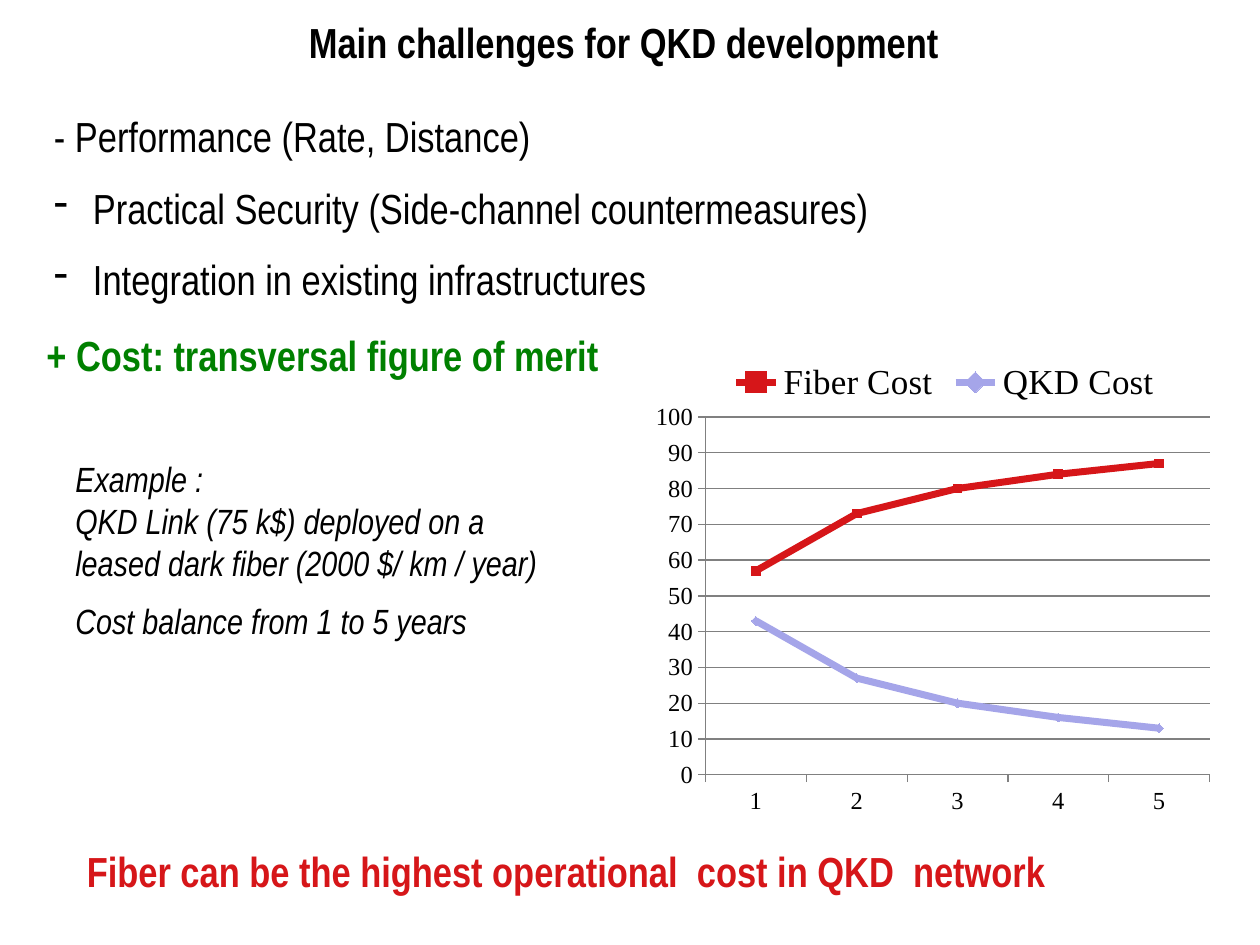
import pptx
import pptx.chart.data
import pptx.dml.color
import pptx.enum.chart
import pptx.enum.text
import pptx.util
from lxml import etree
from pptx.util import Inches, Pt

RGB = pptx.dml.color.RGBColor
BLACK = RGB(0x00, 0x00, 0x00)
GREEN = RGB(0x00, 0x80, 0x00)
RED = RGB(0xD6, 0x16, 0x19)
LILAC = RGB(0xA5, 0xA5, 0xE9)
GREY = RGB(0x80, 0x80, 0x80)
SANS = "Arial Narrow"
SERIF = "Times New Roman"


def style(font, size, color=BLACK, name=SANS, bold=False, italic=False):
    font.size, font.name = Pt(size), name
    font.bold, font.italic = bold, italic
    font.color.rgb = color


def write(shape, box, lines, wrap=True, after=0, align=None, **look):
    """Place a shape and fill it with one paragraph per line."""
    shape.left, shape.top, shape.width, shape.height = map(Inches, box)
    frame = shape.text_frame
    frame.word_wrap = wrap
    frame.auto_size = pptx.enum.text.MSO_AUTO_SIZE.NONE
    frame.vertical_anchor = pptx.enum.text.MSO_ANCHOR.TOP
    for i, line in enumerate(lines):
        par = frame.paragraphs[0] if i == 0 else frame.add_paragraph()
        par.alignment = align
        par.space_after = Pt(after)
        run = par.add_run()
        run.text = line
        style(run.font, **look)
    return frame.paragraphs


def add_text(slide, box, lines, **look):
    shape = slide.shapes.add_textbox(*map(Inches, box))
    return write(shape, box, lines, **look)


def add_dash(par, indent):
    """Give a paragraph a hanging dash bullet."""
    props = par._p.get_or_add_pPr()
    props.set("marL", str(Inches(indent)))
    props.set("indent", str(-Inches(indent)))
    mark = etree.SubElement(props, pptx.oxml.ns.qn("a:buChar"))
    mark.set("char", "-")


def set_plot(chart, x, y, w, h):
    """Fix the inner plot area as fractions of the chart."""
    qn = pptx.oxml.ns.qn
    area = chart._chartSpace.chart.plotArea
    for old in area.findall(qn("c:layout")):
        area.remove(old)
    layout = etree.Element(qn("c:layout"))
    manual = etree.SubElement(layout, qn("c:manualLayout"))
    parts = [("layoutTarget", "inner"), ("xMode", "edge"), ("yMode", "edge"),
             ("x", x), ("y", y), ("w", w), ("h", h)]
    for tag, val in parts:
        etree.SubElement(manual, qn("c:" + tag)).set("val", str(val))
    area.insert(0, layout)


def add_graph(slide, box):
    kind = pptx.enum.chart
    data = pptx.chart.data.CategoryChartData()
    data.categories = ["1", "2", "3", "4", "5"]
    data.add_series("Fiber Cost", (57, 73, 80, 84, 87))
    data.add_series("QKD Cost", (43, 27, 20, 16, 13))
    frame = slide.shapes.add_chart(
        kind.XL_CHART_TYPE.LINE_MARKERS, *map(Inches, box), data)
    chart = frame.chart
    chart.has_title = False
    style(chart.font, 10, name=SERIF)
    set_plot(chart, 0.12, 0.14, 0.8, 0.71)

    # Legend
    chart.has_legend = True
    chart.legend.position = kind.XL_LEGEND_POSITION.TOP
    chart.legend.include_in_layout = False
    style(chart.legend.font, 20, name=SERIF)

    # Axes
    for axis in (chart.category_axis, chart.value_axis):
        style(axis.tick_labels.font, 14, name=SERIF)
        axis.major_tick_mark = kind.XL_TICK_MARK.OUTSIDE
        axis.format.line.color.rgb = GREY
    axis = chart.value_axis
    axis.minimum_scale, axis.maximum_scale, axis.major_unit = 0, 100, 10
    axis.has_major_gridlines = True
    axis.major_gridlines.format.line.color.rgb = GREY

    # Series
    marks = kind.XL_MARKER_STYLE
    looks = [(RED, marks.SQUARE), (LILAC, marks.DIAMOND)]
    for series, (color, mark) in zip(chart.plots[0].series, looks):
        series.smooth = False
        series.format.line.color.rgb = color
        series.format.line.width = Pt(4)
        series.marker.style, series.marker.size = mark, 5
        series.marker.format.fill.solid()
        series.marker.format.fill.fore_color.rgb = color
        series.marker.format.line.fill.background()


def main():
    deck = pptx.Presentation()
    deck.slide_width, deck.slide_height = Inches(10), Inches(7.5)
    slide = deck.slides.add_slide(deck.slide_layouts[5])

    # Title
    write(slide.shapes.title, (2.25, 0.08, 5.4, 0.51),
          ["Main challenges for QKD development"], wrap=False, size=24,
          bold=True, align=pptx.enum.text.PP_ALIGN.CENTER)

    # Challenges
    pars = add_text(slide, (0.33, 0.83, 8.5, 1.63), [
        "- Performance (Rate, Distance)",
        "Practical Security (Side-channel countermeasures)",
        "Integration in existing infrastructures"], size=24, after=12)
    for par in pars[1:]:
        add_dash(par, 0.31)
    add_text(slide, (0.27, 2.57, 4.59, 0.5),
             ["+ Cost: transversal figure of merit"],
             wrap=False, size=24, color=GREEN, bold=True)

    # Example and its cost balance
    pars = add_text(slide, (0.5, 3.58, 4.08, 1.57), [
        "Example :",
        "QKD Link (75 k$) deployed on a leased dark fiber (2000 $/ km / year)",
        "Cost balance from 1 to 5 years"], size=20, italic=True)
    pars[-1].space_before = Pt(9)
    add_graph(slide, (5, 2.75, 5, 4))

    # Conclusion
    add_text(slide, (0.59, 6.66, 7.82, 0.5),
             ["Fiber can be the highest operational  cost in QKD  network"],
             wrap=False, size=24, color=RED, bold=True)
    deck.save("out.pptx")


if __name__ == "__main__":
    main()
